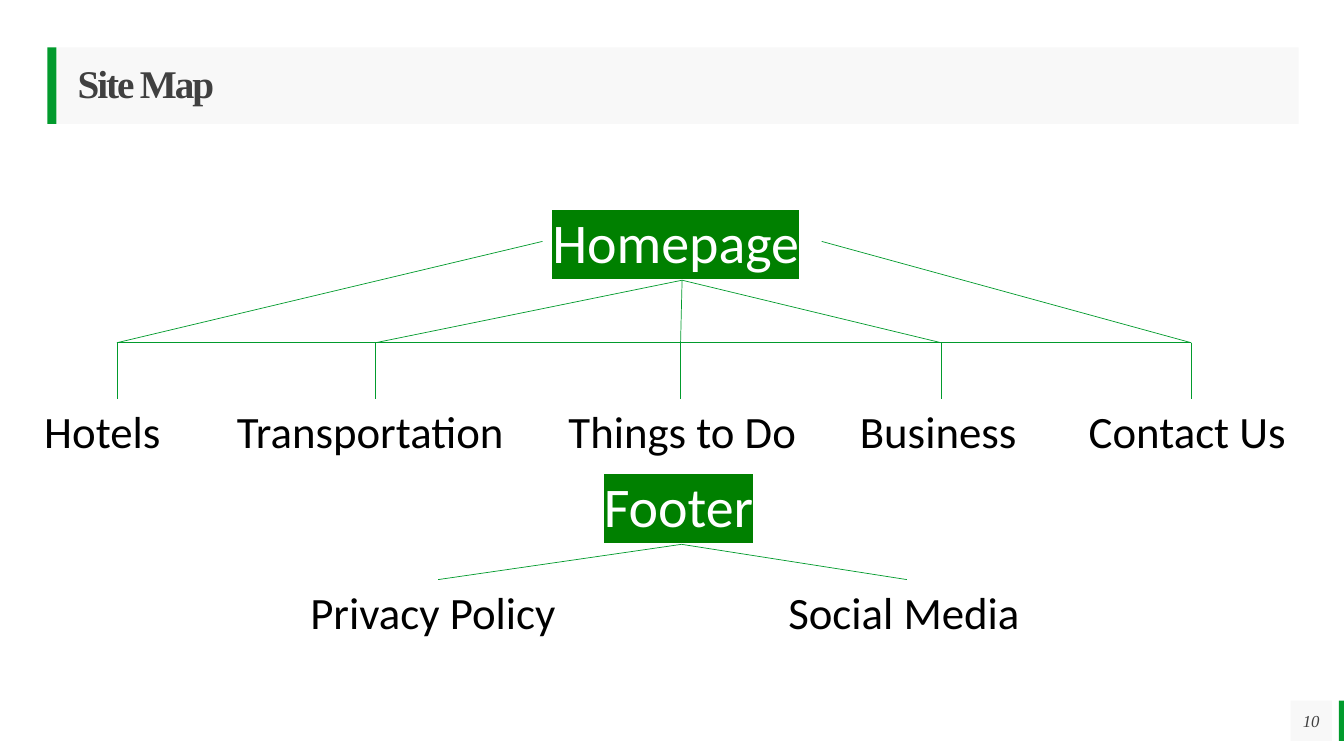
from lxml.etree import SubElement
from pptx import Presentation
from pptx.dml.color import RGBColor
from pptx.enum.shapes import MSO_CONNECTOR, MSO_SHAPE
from pptx.enum.text import MSO_ANCHOR, MSO_AUTO_SIZE, PP_ALIGN
from pptx.oxml.ns import qn
from pptx.util import Inches, Pt

GREEN = RGBColor(0x02, 0x9B, 0x2D)
LABEL_GREEN = RGBColor(0x00, 0x80, 0x00)
PANEL = RGBColor(0xF2, 0xF2, 0xF2)
INK = RGBColor(0x40, 0x40, 0x40)
WHITE = RGBColor(0xFF, 0xFF, 0xFF)
BLACK = RGBColor(0x00, 0x00, 0x00)

TOP, LEFT, BOTTOM, RIGHT = range(4)
HEAD = {"size": Pt(40), "name": "Calibri"}
ITEM = {"size": Pt(32), "name": "Calibri"}
TITLE = {"size": Pt(28), "name": "Times New Roman", "bold": True}
NUMBER = {"size": Pt(12), "name": "Times New Roman", "italic": True}

HEAD_HEIGHT, ITEM_HEIGHT = 0.77, 0.64
PAGE_TOP, FOOTER_TOP = 3.96, 5.75
RAIL = 3.4

# text, left, top, width
HOME = ("Homepage", 5.38, 2.01, 2.77)
FOOTER = ("Footer", 5.89, 4.63, 1.74)
# text, left, width, side of the homepage label, x of the drop line if off centre
PAGES = [
    ("Hotels", 0.34, 1.41, LEFT, 1.16),
    ("Transportation", 2.25, 2.95, BOTTOM, None),
    ("Things to Do", 5.54, 2.57, BOTTOM, 6.75),
    ("Business", 8.43, 1.81, BOTTOM, None),
    ("Contact Us", 10.7, 2.23, RIGHT, None),
]
FOOTER_LINKS = [("Privacy Policy", 2.98, 2.73), ("Social Media", 7.72, 2.55)]

deck = Presentation()
deck.slide_width, deck.slide_height = Inches(13.33), Inches(7.5)
page = deck.slides.add_slide(deck.slide_layouts[6])


def write(frame, text, style, color):
    para = frame.paragraphs[0]
    span = para.add_run()
    span.text = text
    span.font.color.rgb = color
    for key, value in style.items():
        setattr(span.font, key, value)
    return para, span


def add_panel(left, top, width, height, color, alpha=None):
    """Draw a borderless rectangle; alpha is its opacity in percent."""
    panel = page.shapes.add_shape(
        MSO_SHAPE.RECTANGLE, *map(Inches, (left, top, width, height)))
    panel.shadow.inherit = False
    panel.line.fill.background()
    panel.fill.solid()
    panel.fill.fore_color.rgb = color
    if alpha:
        tint = panel.fill._xPr.find(qn("a:solidFill"))[0]
        SubElement(tint, qn("a:alpha")).set("val", str(alpha * 1000))
    frame = panel.text_frame
    frame.margin_left = frame.margin_top = frame.margin_right = frame.margin_bottom = 0
    frame.vertical_anchor = MSO_ANCHOR.MIDDLE
    return panel


def add_label(text, left, top, width, height, style, color):
    box = page.shapes.add_textbox(*map(Inches, (left, top, width, height)))
    box.text_frame.word_wrap = False
    box.text_frame.auto_size = MSO_AUTO_SIZE.SHAPE_TO_FIT_TEXT
    return box, write(box.text_frame, text, style, color)[1]


def add_head(text, left, top, width):
    """Place a white label with a green highlight behind its text."""
    box, span = add_label(text, left, top, width, HEAD_HEIGHT, HEAD, WHITE)
    props = span.font._element
    highlight = SubElement(props, qn("a:highlight"))
    SubElement(highlight, qn("a:srgbClr")).set("val", str(LABEL_GREEN))
    props.find(qn("a:solidFill")).addnext(highlight)
    return box


def add_line(start, end, begin=None, finish=None):
    """Draw a line; begin and finish are optional (box, side) joints."""
    line = page.shapes.add_connector(
        MSO_CONNECTOR.STRAIGHT, *map(Inches, (*start, *end)))
    line.line.color.rgb = GREEN
    line.line.width = Pt(0.5)
    SubElement(line._element.spPr, qn("a:effectLst"))
    if begin:
        line.begin_connect(*begin)
    if finish:
        line.end_connect(*finish)


def build_frame():
    add_panel(13.28, 6.95, 0.05, 0.4, GREEN)
    add_panel(0.47, 0.47, 0.09, 0.76, GREEN)
    number = add_panel(12.8, 6.95, 0.41, 0.4, PANEL, 50)
    para, _ = write(number.text_frame, "10", NUMBER, INK)
    para.alignment = PP_ALIGN.CENTER
    title = add_panel(0.57, 0.47, 12.31, 0.76, PANEL, 50)
    title.text_frame.margin_left = Inches(0.2)
    para, span = write(title.text_frame, "Site Map", TITLE, INK)
    para.alignment = PP_ALIGN.LEFT
    para.line_spacing = 0.9
    span.font._element.set("spc", "-150")


def build_pages():
    home = add_head(*HOME)
    drops = []
    for text, left, width, side, drop in PAGES:
        box, _ = add_label(text, left, PAGE_TOP, width, ITEM_HEIGHT, ITEM, BLACK)
        x = drop or left + width / 2
        drops.append(x)
        add_line((x, RAIL), (x, PAGE_TOP), finish=None if drop else (box, TOP))
        add_line((x, RAIL), (x, RAIL), finish=(home, side))
    add_line((drops[0], RAIL), (drops[-1], RAIL))


def build_footer():
    footer = add_head(*FOOTER)
    for text, left, width in FOOTER_LINKS:
        box, _ = add_label(text, left, FOOTER_TOP, width, ITEM_HEIGHT, ITEM, BLACK)
        x = left + width / 2
        add_line((x, FOOTER_TOP), (x, FOOTER_TOP), (box, TOP), (footer, BOTTOM))


build_frame()
build_pages()
build_footer()
deck.save("out.pptx")
